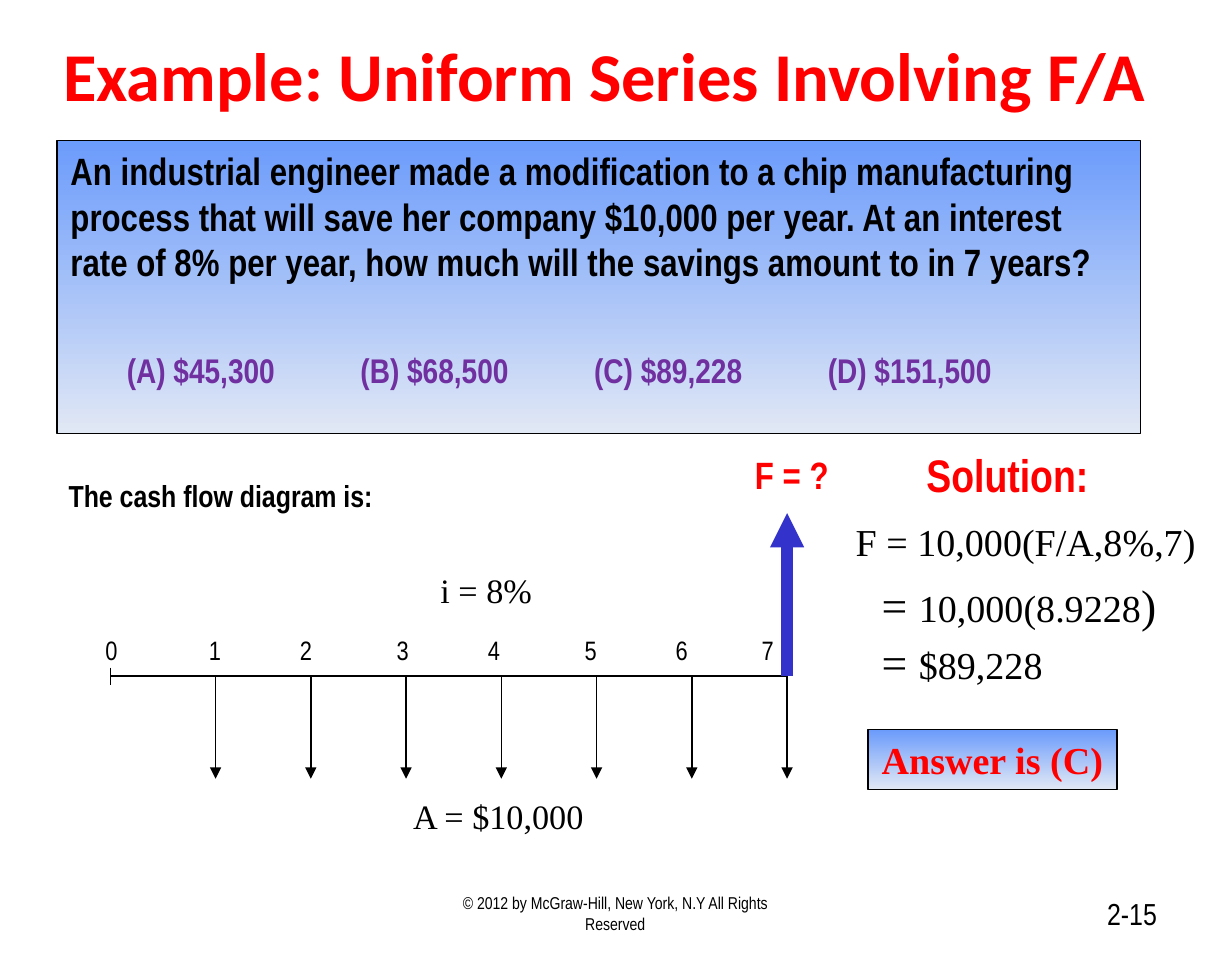
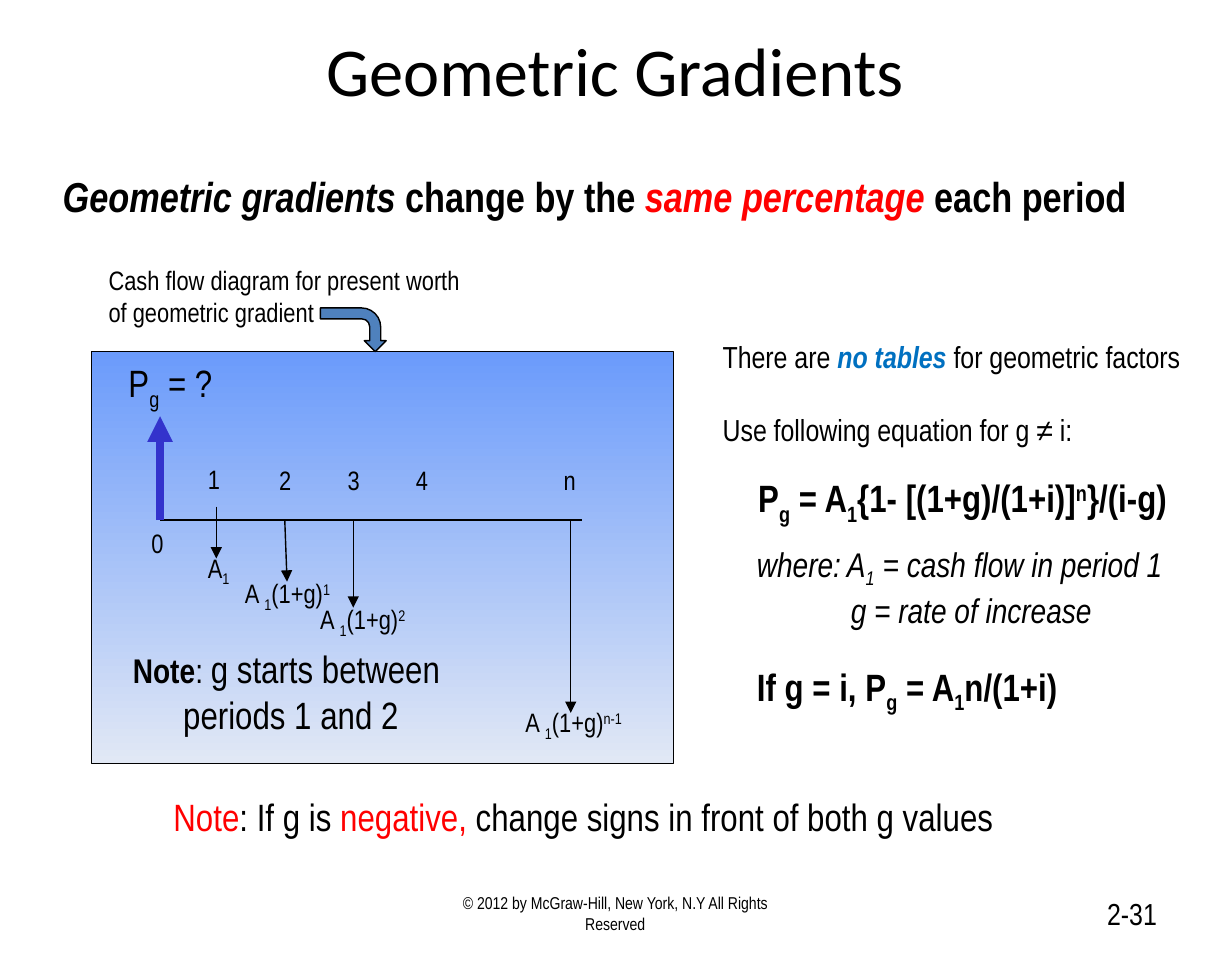
"""Build two engineering economy slides with cash flow diagrams."""
from lxml.etree import SubElement
from pptx import Presentation
from pptx.dml.color import RGBColor
from pptx.enum.shapes import MSO_CONNECTOR, MSO_SHAPE
from pptx.enum.text import MSO_ANCHOR, PP_ALIGN
from pptx.oxml.ns import qn
from pptx.util import Pt

BLACK = RGBColor(0x00, 0x00, 0x00)
RED = RGBColor(0xFF, 0x00, 0x00)
PURPLE = RGBColor(0x70, 0x30, 0xA0)
BLUE = RGBColor(0x00, 0x70, 0xC0)
ARROW_BLUE = RGBColor(0x33, 0x33, 0xCC)
BENT_ARROW_BLUE = RGBColor(0x4F, 0x81, 0xBD)
PANEL_TOP = RGBColor(0x6B, 0x9B, 0xFB)
PANEL_BOTTOM = RGBColor(0xE1, 0xE8, 0xF5)

NARROW = "Arial Narrow"
SERIF = "Times New Roman"
TITLE_FONT = "Calibri"
COPYRIGHT = "© 2012 by McGraw-Hill, New York, N.Y All Rights Reserved"


def subscript(text):
    return text, {"baseline": -25}


def superscript(text):
    return text, {"baseline": 30}


def add_run(paragraph, text, size=14, font=NARROW, color=BLACK, bold=False,
            italic=False, baseline=0):
    run = paragraph.add_run()
    run.text = text
    run.font.size = Pt(size)
    run.font.name = font
    run.font.color.rgb = color
    run.font.bold = bold
    run.font.italic = italic
    if baseline:
        run.font._element.set("baseline", str(baseline * 1000))


def write(shape, paragraphs, align=PP_ALIGN.LEFT, anchor=MSO_ANCHOR.TOP, wrap=True, **style):
    frame = shape.text_frame
    frame.word_wrap = wrap
    frame.vertical_anchor = anchor
    for index, runs in enumerate(paragraphs):
        paragraph = frame.add_paragraph() if index else frame.paragraphs[0]
        paragraph.alignment = align
        for run in runs:
            text, changes = (run, {}) if isinstance(run, str) else run
            add_run(paragraph, text, **{**style, **changes})
    return frame.paragraphs


def add_text(slide, left, top, width, height, *paragraphs, **style):
    box = slide.shapes.add_textbox(Pt(left), Pt(top), Pt(width), Pt(height))
    return write(box, paragraphs, **style)


def add_tabbed_text(slide, left, top, width, height, words, stops, **style):
    paragraph = add_text(slide, left, top, width, height, ["\t".join(words)], **style)[0]
    tab_list = SubElement(paragraph._p.get_or_add_pPr(), qn("a:tabLst"))
    for stop in stops:
        SubElement(tab_list, qn("a:tab"), pos=str(Pt(stop)), algn="l")


def add_outlined_shape(slide, preset, left, top, width, height):
    shape = slide.shapes.add_shape(preset, Pt(left), Pt(top), Pt(width), Pt(height))
    shape.shadow.inherit = False
    shape.line.color.rgb = BLACK
    shape.line.width = Pt(0.75)
    return shape


def add_panel(slide, left, top, width, height):
    panel = add_outlined_shape(slide, MSO_SHAPE.RECTANGLE, left, top, width, height)
    panel.fill.gradient()
    panel.fill.gradient_angle = 270
    for stop, color, position in zip(panel.fill.gradient_stops, (PANEL_TOP, PANEL_BOTTOM), (0, 1)):
        stop.color.rgb = color
        stop.position = position
    return panel


def add_line(slide, start, end, color=BLACK, width=0.75, arrow=False):
    line = slide.shapes.add_connector(MSO_CONNECTOR.STRAIGHT, *map(Pt, start + end))
    line.line.color.rgb = color
    line.line.width = Pt(width)
    if arrow:
        SubElement(line.line._get_or_add_ln(), qn("a:tailEnd"), type="triangle")
    SubElement(line._element.spPr, qn("a:effectLst"))


def add_slide(presentation, title, number, title_box, **title_style):
    slide = presentation.slides.add_slide(presentation.slide_layouts[6])
    middle = MSO_ANCHOR.MIDDLE
    add_text(slide, *title_box, [title], size=36, font=TITLE_FONT,
             align=PP_ALIGN.CENTER, anchor=middle, **title_style)
    add_text(slide, 221, 467.3, 205.2, 26.6, [COPYRIGHT], size=9,
             align=PP_ALIGN.CENTER, anchor=middle)
    add_text(slide, 464.4, 467.3, 151.2, 26.6, [number], size=16,
             align=PP_ALIGN.RIGHT, anchor=middle)
    return slide


def add_question(slide):
    add_panel(slide, 30, 74, 570, 154)
    add_text(slide, 30, 74, 570, 79,
             ["An industrial engineer made a modification to a chip manufacturing process "
              "that will save her company $10,000 per year. At an interest rate of 8% per "
              "year, how much will the savings amount to in 7 years?"], size=20, bold=True)
    options = ["(A) $45,300", "(B) $68,500", "(C) $89,228", "(D) $151,500"]
    add_tabbed_text(slide, 59.6, 180, 516, 29, options,
                    [122.9 * step for step in range(1, len(options))],
                    size=18, bold=True, color=PURPLE)


def add_savings_diagram(slide):
    axis, first, pitch, years = 355.7, 58, 50.1, 7
    last = 414
    add_text(slide, 29, 247.5, 252, 27, ["The cash flow diagram is:"], size=16, bold=True)
    add_line(slide, (first, axis), (last, axis))
    add_line(slide, (first, axis - 4.5), (first, axis + 4.5))
    for year in range(years):
        x = last - pitch * year
        add_line(slide, (x, axis), (x, axis + 54), arrow=True)
    add_line(slide, (last, axis), (last, 270), ARROW_BLUE, 6, arrow=True)
    add_tabbed_text(slide, 48.3, 329.8, 410, 24.5, map(str, range(years + 1)),
                    [54.5, 102.3, 153.3, 201.2, 252.2, 300, 345.3])
    add_text(slide, 390, 234, 60, 32, ["F = ?"], size=20, bold=True, color=RED)
    add_text(slide, 224.6, 296, 80, 29, ["i = 8%"], size=18, font=SERIF)
    add_text(slide, 210.2, 414.7, 120, 29, ["A = $10,000"], size=18, font=SERIF)


def add_solution(slide):
    large = {"size": 24}
    add_text(slide, 480.2, 231.8, 120, 36, ["Solution:"], size=24, bold=True, color=RED)
    serif = {"size": 20, "font": SERIF}
    add_text(slide, 443, 269.3, 204, 32, ["F = 10,000(F/A,8%,7)"], **serif)
    add_text(slide, 456.7, 300, 180, 36, [("= ", large), "10,000(8.9228", (")", large)], **serif)
    add_text(slide, 456.7, 330, 180, 36, [("= ", large), "$89,228"], **serif)
    answer = add_panel(slide, 456.5, 383.8, 131, 31.7)
    write(answer, [["Answer is (C)"]], align=PP_ALIGN.CENTER, anchor=MSO_ANCHOR.MIDDLE,
          wrap=False, bold=True, color=RED, **serif)


def add_gradient_diagram(slide):
    axis, origin = 273.6, 84.2
    add_panel(slide, 48.2, 185, 306, 216.7)
    add_line(slide, (origin, axis), (306, axis))
    add_line(slide, (origin, axis), (origin, 219), ARROW_BLUE, 4.5, arrow=True)
    add_line(slide, (113.8, axis - 7), (113.8, axis))
    for start, end, bottom in ((113.8, 113.8, 293.8), (149.8, 151, 306),
                               (185.8, 185.8, 319.7), (300.2, 300.2, 375.1)):
        add_line(slide, (start, axis), (end, bottom), arrow=True)
    for label, left, top in (("0", 72.5, 273.6), ("1", 102.2, 239.8), ("2", 139.7, 240.5),
                             ("3", 175.7, 240.5), ("4", 211.7, 240.5), ("n", 289.4, 240.5)):
        add_text(slide, left, top, 24, 24.5, [label])
    add_text(slide, 102.2, 286.6, 40, 26.6, ["A", subscript("1")])
    for power, left, top in (("1", 121.7, 300.2), ("2", 161.3, 313.9), ("n-1", 269.3, 367.9)):
        add_text(slide, left, top, 80, 26.6,
                 ["A ", subscript("1"), "(1+g)", superscript(power)])
    add_text(slide, 60.5, 185.8, 80, 34.6, ["P", subscript("g"), " = ?"], size=20)
    add_text(slide, 53, 336.2, 200, 55.4,
             [("Note", {"size": 18, "bold": True}), (": ", {"size": 18}), "g starts between "],
             ["periods 1 and 2"], size=20, align=PP_ALIGN.CENTER)


def add_gradient_formulas(slide):
    emphasis = {"color": BLUE, "bold": True, "italic": True}
    lines = add_text(slide, 373, 174.2, 265, 65,
                     ["There are ", ("no tables ", emphasis), "for geometric factors"],
                     ["Use following equation for g ≠ i:"], size=16)
    lines[1].space_before = Pt(19.2)
    add_text(slide, 391.7, 246.2, 245, 34.6,
             ["P", subscript("g"), " = A", subscript("1"), "{1- [(1+g)/(1+i)]",
              superscript("n"), "}/(i-g)"], size=20, bold=True)
    add_text(slide, 391, 282.2, 245, 29,
             ["where: A", subscript("1"), " = cash flow in period 1"], size=18, italic=True)
    add_text(slide, 440.4, 306.5, 190, 29, ["g = rate of increase"], size=18, italic=True)
    add_text(slide, 391, 345.3, 245, 34.6,
             ["If g = i, P", subscript("g"), " = A", subscript("1"), "n/(1+i)"],
             size=20, bold=True)


def build_uniform_series(presentation):
    slide = add_slide(presentation, "Example: Uniform Series Involving F/A", "2-15",
                      (23.8, 12.2, 588.2, 54), bold=True, color=RED)
    add_question(slide)
    add_savings_diagram(slide)
    add_solution(slide)


def build_geometric_gradients(presentation):
    slide = add_slide(presentation, "Geometric Gradients", "2-31", (48, 12.2, 551, 48.2))
    red = {"color": RED}
    add_text(slide, 25.9, 86.4, 600, 34,
             [("Geometric gradients", {"italic": True}), " change by the ",
              ("same percentage", {"italic": True, **red}), " each period"], size=22, bold=True)
    add_gradient_diagram(slide)
    add_gradient_formulas(slide)
    add_text(slide, 84.2, 414, 468, 32,
             [("Note", red), ": If g is ", ("negative, ", red),
              "change signs in front of both g values"], size=20)
    add_text(slide, 50, 135.4, 215, 41,
             ["Cash flow diagram for present worth"], ["of geometric gradient"])
    pointer = add_outlined_shape(slide, MSO_SHAPE.BENT_ARROW, 174.3, 156.2, 23, 34.6)
    pointer.rotation = 90
    pointer.fill.solid()
    pointer.fill.fore_color.rgb = BENT_ARROW_BLUE


def main():
    presentation = Presentation()
    presentation.slide_width = Pt(648)
    presentation.slide_height = Pt(504)
    build_uniform_series(presentation)
    build_geometric_gradients(presentation)
    presentation.save("out.pptx")


if __name__ == "__main__":
    main()
